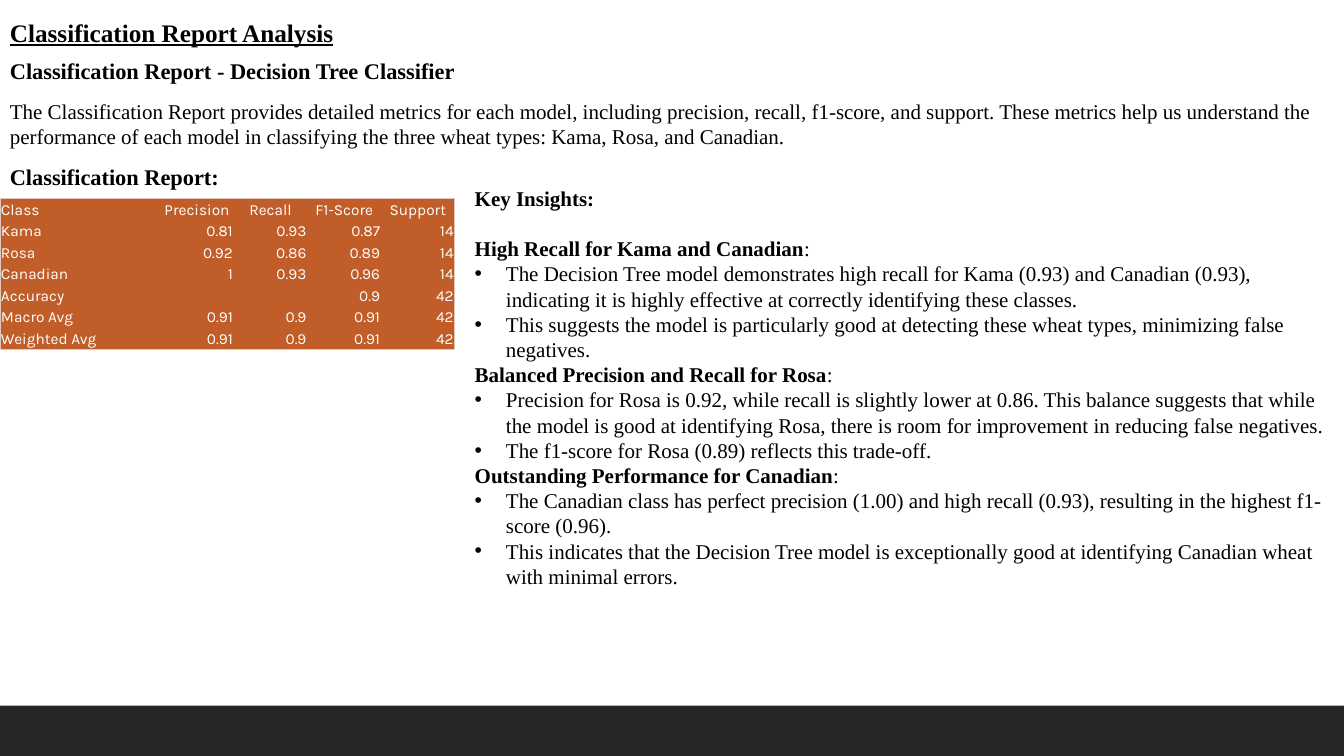
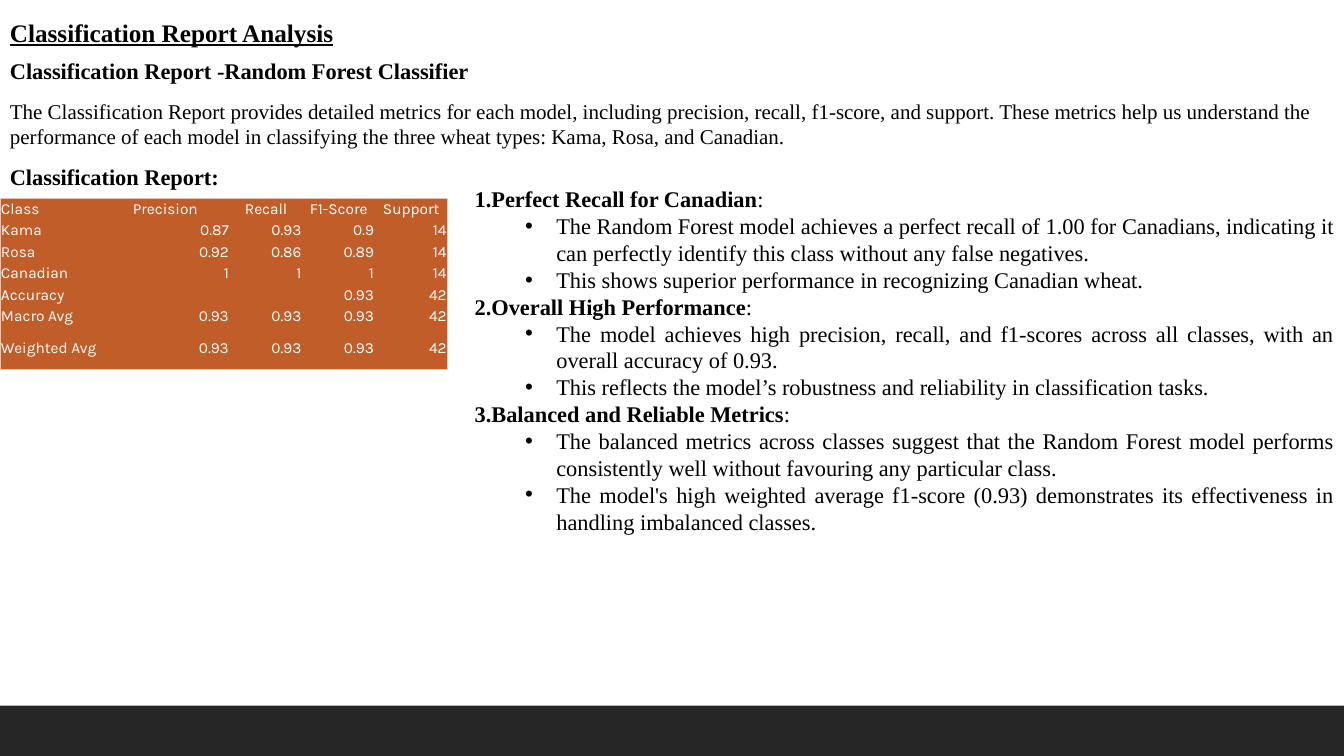
from lxml.etree import SubElement
from pptx import Presentation
from pptx.dml.color import RGBColor
from pptx.enum.shapes import MSO_SHAPE as Shape
from pptx.enum.text import MSO_ANCHOR as Anchor, PP_ALIGN as Align
from pptx.oxml.ns import qn
from pptx.util import Inches, Pt

COLORS = {"ink": "000000", "band": "262626", "table": "C15D28",
          "border": "E2C7BF", "table_text": "FFFFFF"}
BODY_FONT, TABLE_FONT = "Times New Roman", "Karla"
PLAIN_TABLE_STYLE = "{2D5ABB26-0587-4C30-8999-92F81FD0307C}"
SLIDE_W, SLIDE_H, BAND_H = 13.33, 7.5, 0.5
TITLE_BOX = (0, 0.12, 8.22, 0.4)
MODEL_BOX = (0, 0.52, 10.19, 0.37)
INTRO_BOX = (0, 0.93, SLIDE_W, 0.61)
CAPTION_BOX = (0, 1.57, 6.7, 0.37)

TITLE = "Classification Report Analysis"
INTRO = ("The Classification Report provides detailed metrics for each model, including "
         "precision, recall, f1-score, and support. These metrics help us understand the "
         "performance of each model in classifying the three wheat types: Kama, Rosa, and Canadian.")
CAPTION = "Classification Report:"
METRICS = ["Class", "Precision", "Recall", "F1-Score", "Support"]

REPORTS = [
    {
        "model": "Classification Report - Decision Tree Classifier",
        "scores": [
            ["Kama", "0.81", "0.93", "0.87", "14"],
            ["Rosa", "0.92", "0.86", "0.89", "14"],
            ["Canadian", "1", "0.93", "0.96", "14"],
            ["Accuracy", "", "", "0.9", "42"],
            ["Macro Avg", "0.91", "0.9", "0.91", "42"],
            ["Weighted Avg", "0.91", "0.9", "0.91", "42"],
        ],
        "col_widths": [1.59] + [0.73] * 4,
        "row_heights": [0.22, 0.21, 0.21, 0.22, 0.21, 0.21, 0.22],
        "heading": "Key Insights:",
        "insights": [
            ("High Recall for Kama and Canadian", [
                "The Decision Tree model demonstrates high recall for Kama (0.93) and Canadian "
                "(0.93), indicating it is highly effective at correctly identifying these classes.",
                "This suggests the model is particularly good at detecting these wheat types, "
                "minimizing false negatives."]),
            ("Balanced Precision and Recall for Rosa", [
                "Precision for Rosa is 0.92, while recall is slightly lower at 0.86. This balance "
                "suggests that while the model is good at identifying Rosa, there is room for "
                "improvement in reducing false negatives.",
                "The f1-score for Rosa (0.89) reflects this trade-off."]),
            ("Outstanding Performance for Canadian", [
                "The Canadian class has perfect precision (1.00) and high recall (0.93), resulting "
                "in the highest f1-score (0.96).",
                "This indicates that the Decision Tree model is exceptionally good at identifying "
                "Canadian wheat with minimal errors."]),
        ],
        "insights_box": (4.61, 1.79, 8.72, 4.14),
        "size": 15, "align": Align.LEFT, "numbered": False, "indent": 0.31,
    },
    {
        "model": "Classification Report -Random Forest Classifier",
        "scores": [
            ["Kama", "0.87", "0.93", "0.9", "14"],
            ["Rosa", "0.92", "0.86", "0.89", "14"],
            ["Canadian", "1", "1", "1", "14"],
            ["Accuracy", "", "", "0.93", "42"],
            ["Macro Avg", "0.93", "0.93", "0.93", "42"],
            ["Weighted Avg", "0.93", "0.93", "0.93", "42"],
        ],
        "col_widths": [1, 1.28] + [0.72] * 3,
        "row_heights": [0.21, 0.21, 0.21, 0.22, 0.21, 0.21, 0.43],
        "heading": None,
        "insights": [
            ("Perfect Recall for Canadian", [
                "The Random Forest model achieves a perfect recall of 1.00 for Canadians, "
                "indicating it can perfectly identify this class without any false negatives.",
                "This shows superior performance in recognizing Canadian wheat."]),
            ("Overall High Performance", [
                "The model achieves high precision, recall, and f1-scores across all classes, "
                "with an overall accuracy of 0.93.",
                "This reflects the model’s robustness and reliability in classification tasks."]),
            ("Balanced and Reliable Metrics", [
                "The balanced metrics across classes suggest that the Random Forest model performs "
                "consistently well without favouring any particular class.",
                "The model's high weighted average f1-score (0.93) demonstrates its effectiveness "
                "in handling imbalanced classes."]),
        ],
        "insights_box": (4.61, 1.79, 8.72, 3.6),
        "size": 16, "align": Align.JUSTIFY, "numbered": True, "indent": 0.81,
    },
]


def color(key):
    """Return the named colour."""
    return RGBColor.from_string(COLORS[key])


def style_run(run, size, bold=False, underline=False, font=BODY_FONT, ink="ink"):
    """Give a run its font, size, weight and colour."""
    run.font.name, run.font.size = font, Pt(size)
    run.font.bold, run.font.underline = bold, underline
    run.font.color.rgb = color(ink)


def add_frame(slide, box):
    """Add a wrapping text box and return its text frame."""
    frame = slide.shapes.add_textbox(*map(Inches, box)).text_frame
    frame.word_wrap = True
    return frame


def add_line(slide, box, text, size, align=Align.LEFT, **weight):
    """Add a text box that holds a single paragraph."""
    paragraph = add_frame(slide, box).paragraphs[0]
    paragraph.text, paragraph.alignment = text, align
    style_run(paragraph.runs[0], size, **weight)


def add_band(slide):
    """Draw the dark band along the foot of the slide."""
    band = slide.shapes.add_shape(Shape.RECTANGLE, 0, Inches(SLIDE_H - BAND_H),
                                  Inches(SLIDE_W), Inches(BAND_H))
    band.shadow.inherit = False
    band.fill.solid()
    band.fill.fore_color.rgb = color("band")
    band.line.fill.background()


def add_marker(paragraph, indent, numbered=False):
    """Give a paragraph a hanging bullet or a running number."""
    props = paragraph._p.get_or_add_pPr()
    props.set("marL", str(Inches(indent)))
    props.set("indent", str(0 if numbered else -Inches(0.31)))
    if numbered:
        SubElement(props, qn("a:buFont"), typeface="+mj-lt")
        SubElement(props, qn("a:buAutoNum"), type="arabicPeriod")
    else:
        SubElement(props, qn("a:buFont"), typeface="Arial")
        SubElement(props, qn("a:buChar"), char="•")


def add_insights(slide, box, report):
    """Write the findings, each with its bulleted points."""
    frame = add_frame(slide, box)
    size, numbered = report["size"], report["numbered"]
    unused = [frame.paragraphs[0]]

    def add_paragraph(*parts):
        """Add one paragraph from (text, bold) parts."""
        paragraph = unused.pop() if unused else frame.add_paragraph()
        paragraph.alignment = report["align"]
        for text, bold in parts:
            run = paragraph.add_run()
            run.text = text
            style_run(run, size, bold)
        return paragraph

    if report["heading"]:
        add_paragraph((report["heading"], True)).space_after = Pt(size * 1.2)
    for finding, points in report["insights"]:
        lead = add_paragraph((finding, True), (":", False))
        if numbered:
            add_marker(lead, 0, numbered=True)
        for point in points:
            bullet = add_paragraph((point, False))
            bullet.level = int(numbered)
            add_marker(bullet, report["indent"])


def add_border(cell, side):
    """Draw one edge of a cell."""
    edge = SubElement(cell._tc.get_or_add_tcPr(), qn(f"a:ln{side}"), w=str(Pt(1)))
    fill = SubElement(edge, qn("a:solidFill"))
    SubElement(fill, qn("a:srgbClr"), val=COLORS["border"])


def fill_cell(cell, text, align):
    """Write and colour one table cell."""
    cell.fill.solid()
    cell.fill.fore_color.rgb = color("table")
    cell.vertical_anchor = Anchor.MIDDLE
    cell.margin_left = cell.margin_right = cell.margin_top = Inches(0.01)
    cell.margin_bottom = 0
    paragraph = cell.text_frame.paragraphs[0]
    paragraph.text, paragraph.alignment = text, align
    for run in paragraph.runs:
        style_run(run, 11, font=TABLE_FONT, ink="table_text")
    if not text:
        SubElement(paragraph._p, qn("a:endParaRPr"), sz="1100")


def add_scores(slide, left, top, report):
    """Add the metrics table with a thin outer border."""
    rows = [METRICS] + report["scores"]
    widths, heights = report["col_widths"], report["row_heights"]
    last_row, last_col = len(rows) - 1, len(METRICS) - 1
    table = slide.shapes.add_table(len(rows), len(METRICS), Inches(left), Inches(top),
                                   Inches(sum(widths)), Inches(sum(heights))).table
    table.first_row = table.horz_banding = False
    table._tbl.tblPr.find(qn("a:tableStyleId")).text = PLAIN_TABLE_STYLE
    for column, width in zip(table.columns, widths):
        column.width = Inches(width)
    for row, height in zip(table.rows, heights):
        row.height = Inches(height)
    for r, values in enumerate(rows):
        for c, value in enumerate(values):
            cell = table.cell(r, c)
            edges = {"L": c == 0, "R": c == last_col, "T": r == 0, "B": r == last_row}
            for side, outer in edges.items():
                if outer:
                    add_border(cell, side)
            align = Align.LEFT if c == 0 else Align.CENTER if r == 0 else Align.RIGHT
            fill_cell(cell, value, align)


def add_report_slide(deck, report):
    """Build the slide for one classifier."""
    slide = deck.slides.add_slide(deck.slide_layouts[6])
    add_band(slide)
    add_line(slide, TITLE_BOX, TITLE, 18, bold=True, underline=True)
    add_line(slide, MODEL_BOX, report["model"], 16, Align.JUSTIFY, bold=True)
    add_line(slide, INTRO_BOX, INTRO, 15)
    add_line(slide, CAPTION_BOX, CAPTION, 16, bold=True)
    add_scores(slide, 0, 1.97, report)
    add_insights(slide, report["insights_box"], report)


def main():
    """Build and save the deck."""
    deck = Presentation()
    deck.slide_width, deck.slide_height = Inches(SLIDE_W), Inches(SLIDE_H)
    for report in REPORTS:
        add_report_slide(deck, report)
    deck.save("out.pptx")


if __name__ == "__main__":
    main()
